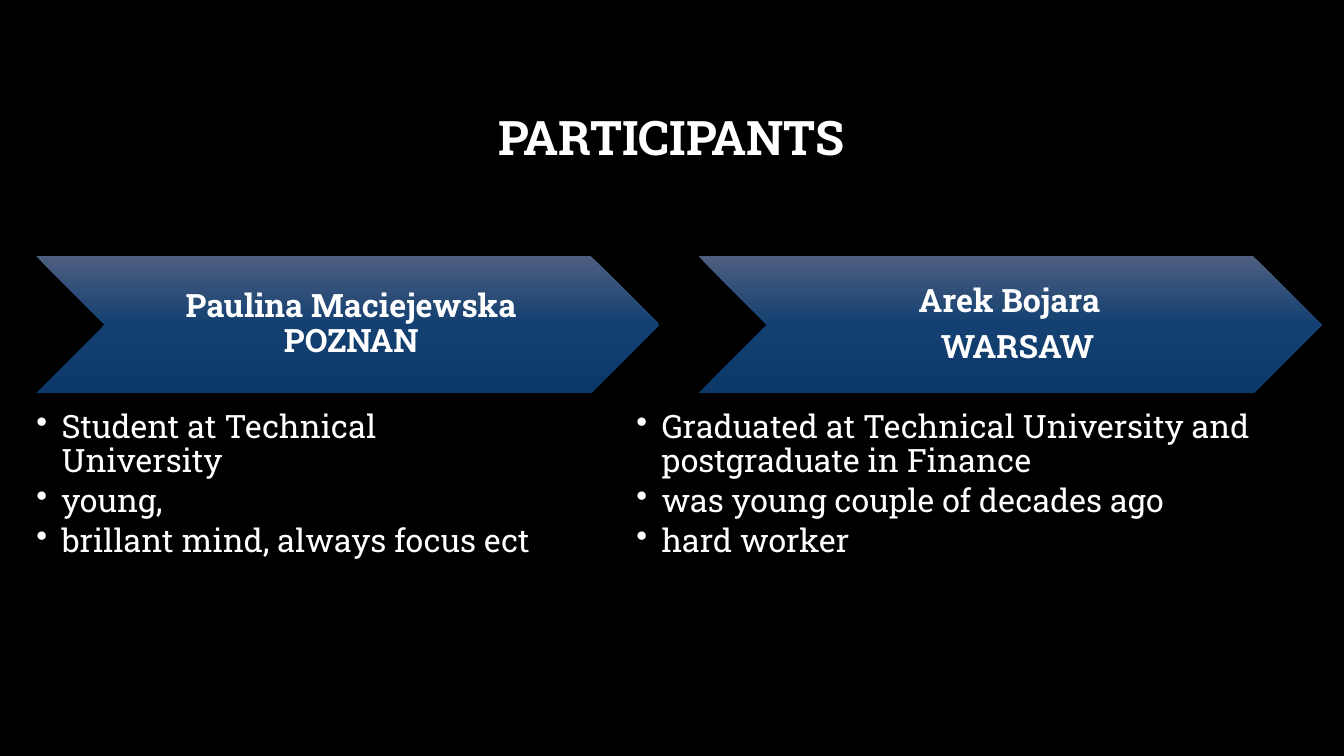
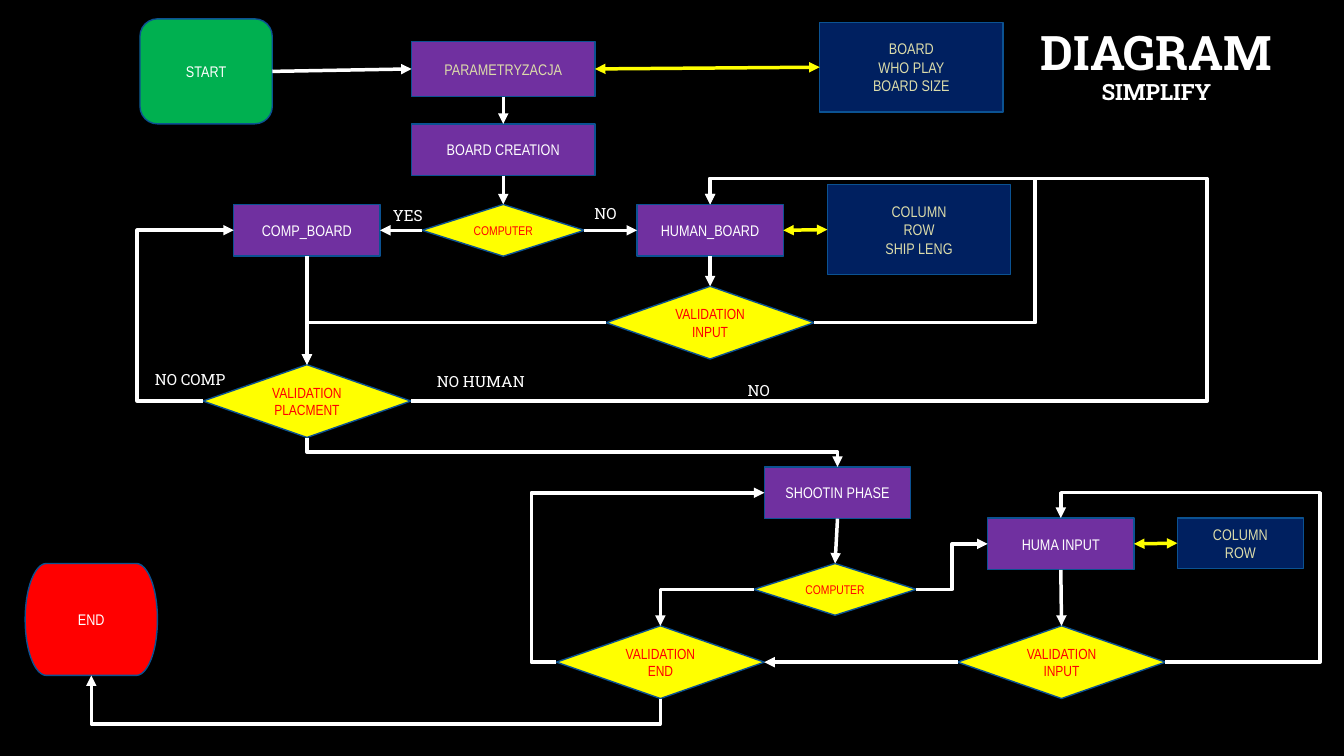
from copy import deepcopy
from dataclasses import dataclass

from pptx import Presentation
from pptx.dml.color import RGBColor
from pptx.enum.shapes import MSO_CONNECTOR, MSO_SHAPE
from pptx.enum.text import MSO_ANCHOR, PP_ALIGN
from pptx.oxml.ns import qn
from pptx.util import Pt


@dataclass(frozen=True)
class Theme:
    slab: str = "Roboto Slab"
    narrow: str = "Arial Narrow"
    background: str = "000000"
    white: str = "FFFFFF"
    yellow: str = "FFFF00"
    red: str = "FF0000"
    green: str = "00B050"
    purple: str = "7030A0"
    navy: str = "002060"
    sand: str = "DCDCAA"
    outline: str = "0B5292"
    chevron: tuple = ("4D5E80", "134071", "0D3969")
    title_size: float = 34
    subtitle_size: float = 16
    body_size: float = 23
    node_size: float = 11
    decision_size: float = 10.5
    small_size: float = 9
    outline_width: float = 1
    link_width: float = 2.5


@dataclass(frozen=True)
class NodeKind:
    preset: MSO_SHAPE
    fill: str
    ink: str
    size: float
    width: float
    height: float


THEME = Theme()
START = NodeKind(MSO_SHAPE.ROUNDED_RECTANGLE, THEME.green, THEME.white, THEME.node_size, 94.5, 75)
END = NodeKind(MSO_SHAPE.FLOWCHART_TERMINATOR, THEME.red, THEME.white, THEME.node_size, 94.5, 80)
SETUP = NodeKind(MSO_SHAPE.RECTANGLE, THEME.purple, THEME.sand, THEME.node_size, 131, 39.5)
WIDE_STEP = NodeKind(MSO_SHAPE.RECTANGLE, THEME.purple, THEME.white, THEME.node_size, 131, 37)
STEP = NodeKind(MSO_SHAPE.RECTANGLE, THEME.purple, THEME.white, THEME.node_size, 104.5, 37)
DATA = NodeKind(MSO_SHAPE.RECTANGLE, THEME.navy, THEME.sand, THEME.node_size, 131, 64)
SMALL_DATA = NodeKind(MSO_SHAPE.RECTANGLE, THEME.navy, THEME.sand, THEME.node_size, 90, 36)
CHECK = NodeKind(MSO_SHAPE.FLOWCHART_DECISION, THEME.yellow, THEME.red, THEME.decision_size, 148.5, 52)
CHOICE = NodeKind(MSO_SHAPE.FLOWCHART_DECISION, THEME.yellow, THEME.red, THEME.small_size, 116, 37)

# Connection sites, numbered as on rectangles and decisions
TOP, LEFT, BOTTOM, RIGHT = range(4)
STRAIGHT_LIMIT = Pt(3)


def site(shape, side):
    """Return the point at the middle of one side."""
    x, y = shape.left + shape.width // 2, shape.top + shape.height // 2
    return {TOP: (x, shape.top), LEFT: (shape.left, y),
            BOTTOM: (x, shape.top + shape.height), RIGHT: (shape.left + shape.width, y)}[side]


class Pages:
    def __init__(self, deck, theme):
        self.deck, self.theme, self.page = deck, theme, None

    def new_page(self):
        self.page = self.deck.slides.add_slide(self.deck.slide_layouts[6])
        fill = self.page.background.fill
        fill.solid()
        fill.fore_color.rgb = RGBColor.from_string(self.theme.background)

    def span(self, para, text, size, bold=False, font=None, color=None):
        span = para.add_run()
        span.text = text
        span.font.name = font or self.theme.slab
        span.font.size = Pt(size)
        span.font.bold = bold
        span.font.color.rgb = RGBColor.from_string(color or self.theme.white)

    def text_box(self, left, top, width, height, insets=(7.2, 3.6, 7.2, 3.6), anchor=MSO_ANCHOR.TOP):
        box = self.page.shapes.add_textbox(Pt(left), Pt(top), Pt(width), Pt(height))
        frame = box.text_frame
        frame.word_wrap = True
        frame.vertical_anchor = anchor
        (frame.margin_left, frame.margin_top,
         frame.margin_right, frame.margin_bottom) = map(Pt, insets)
        return frame

    def paragraphs(self, frame, texts, space_after, bold=False):
        """Fill the frame with body paragraphs and return them."""
        for index, text in enumerate(texts):
            para = frame.add_paragraph() if index else frame.paragraphs[0]
            para.line_spacing = 0.9
            para.space_after = Pt(space_after)
            self.span(para, text, self.theme.body_size, bold)
        return frame.paragraphs

    def title(self, left, top, width, height, text, subtitle=""):
        para = self.text_box(left, top, width, height, anchor=MSO_ANCHOR.MIDDLE).paragraphs[0]
        para.alignment = PP_ALIGN.CENTER
        para.line_spacing = 0.9
        self.span(para, text, self.theme.title_size, True)
        if subtitle:
            self.span(para, subtitle, self.theme.subtitle_size, True)

    def chevron(self, left, top, width, height, texts):
        shape = self.page.shapes.add_shape(MSO_SHAPE.CHEVRON, Pt(left), Pt(top), Pt(width), Pt(height))
        shape.shadow.inherit = False
        shape.line.fill.background()
        shape.fill.gradient()
        shape.fill.gradient_angle = 270
        stop_list = shape._element.spPr.find(".//" + qn("a:gsLst"))
        stop_list.insert(1, deepcopy(stop_list[0]))
        for index, (stop, color) in enumerate(zip(shape.fill.gradient_stops, self.theme.chevron)):
            stop.position = index / 2
            stop.color.rgb = RGBColor.from_string(color)
        notch = height / 2
        frame = self.text_box(left + notch, top, width - 2 * notch, height,
                              (7.2, 2, 2, 2), MSO_ANCHOR.MIDDLE)
        for para in self.paragraphs(frame, texts, 8, True):
            para.alignment = PP_ALIGN.CENTER

    def bullets(self, left, top, width, height, texts):
        frame = self.text_box(left, top, width, height, (0, 0, 0, 0))
        for para in self.paragraphs(frame, texts, 3.5):
            properties = para._p.get_or_add_pPr()
            properties.set("marL", str(Pt(18)))
            properties.set("indent", str(-Pt(18)))
            bullet = properties.makeelement(qn("a:buChar"), {"char": "•"})
            properties.append(bullet)

    def node(self, kind, left, top, *lines):
        shape = self.page.shapes.add_shape(kind.preset, Pt(left), Pt(top), Pt(kind.width), Pt(kind.height))
        shape.shadow.inherit = False
        shape.fill.solid()
        shape.fill.fore_color.rgb = RGBColor.from_string(kind.fill)
        shape.line.color.rgb = RGBColor.from_string(self.theme.outline)
        shape.line.width = Pt(self.theme.outline_width)
        frame = shape.text_frame
        frame.word_wrap = True
        frame.vertical_anchor = MSO_ANCHOR.MIDDLE
        para = frame.paragraphs[0]
        para.alignment = PP_ALIGN.CENTER
        for index, line in enumerate(lines):
            if index:
                para.add_line_break()
            self.span(para, line, kind.size, font=self.theme.narrow, color=kind.ink)
        return shape

    def label(self, left, top, width, text):
        self.span(self.text_box(left, top, width, 21).paragraphs[0], text, self.theme.node_size)

    def link(self, source, source_side, target, target_side, bends=(), color=None, both=False):
        """Join two nodes; bends are the coordinates, in points, where the line turns."""
        begin, end = site(source, source_side), site(target, target_side)
        axis = 0 if source_side in (LEFT, RIGHT) else 1
        parallel = source_side % 2 == target_side % 2
        straight = parallel and not bends and abs(begin[1 - axis] - end[1 - axis]) < STRAIGHT_LIMIT
        style = MSO_CONNECTOR.STRAIGHT if straight else MSO_CONNECTOR.ELBOW
        connector = self.page.shapes.add_connector(style, *begin, *end)
        connector.begin_connect(source, source_side)
        connector.end_connect(target, target_side)
        if not straight:
            self.bend(connector, begin, end, axis, parallel, bends)
        connector.line.color.rgb = RGBColor.from_string(color or self.theme.white)
        connector.line.width = Pt(self.theme.link_width)
        line = connector.line._get_or_add_ln()
        for tag in ("a:headEnd", "a:tailEnd") if both else ("a:tailEnd",):
            line.append(line.makeelement(qn(tag), {"type": "triangle"}))
        properties = connector._element.spPr
        properties.append(properties.makeelement(qn("a:effectLst"), {}))

    def bend(self, connector, begin, end, axis, parallel, bends):
        """Set the elbow preset, its frame and its turning points."""
        along, across = end[axis] - begin[axis], end[1 - axis] - begin[1 - axis]
        connector.width, connector.height = abs(along), abs(across)
        connector.left = (begin[0] + end[0] - abs(along)) // 2
        connector.top = (begin[1] + end[1] - abs(across)) // 2
        connector.rotation = 90 * axis
        # A quarter turn points the frame's downward direction to the left
        flip_across = across > 0 if axis else across < 0
        frame = connector._element.spPr.find(qn("a:xfrm"))
        frame.set("flipH", str(int(along < 0)))
        frame.set("flipV", str(int(flip_across)))
        geometry = connector._element.spPr.find(qn("a:prstGeom"))
        segments = 3 if parallel else 2 + len(bends)
        geometry.set("prst", f"bentConnector{segments}")
        guides = geometry.find(qn("a:avLst"))
        for index, place in enumerate(bends):
            direction = axis if index == 0 else 1 - axis
            ratio = (Pt(place) - begin[direction]) / (end[direction] - begin[direction])
            guides.append(guides.makeelement(qn("a:gd"), {
                "name": f"adj{index + 1}", "fmla": f"val {round(ratio * 100000)}"}))


def participants(pages):
    pages.new_page()
    pages.title(72, 48, 815, 104.5, "PARTICIPANTS")
    people = (
        (26, 26, 356.5, ("Paulina Maciejewska POZNAN",),
         ("Student at Technical University", "young,", "brillant mind, always focus ect")),
        (499, 454.5, 445, ("Arek Bojara ", " WARSAW"),
         ("Graduated at Technical University and postgraduate in Finance",
          "was young couple of decades ago", "hard worker")),
    )
    for chevron_left, list_left, list_width, name, facts in people:
        pages.chevron(chevron_left, 183, 445, 98, name)
        pages.bullets(list_left, 293, list_width, 156, facts)


def diagram(pages):
    pages.new_page()
    pages.title(704, 16, 244, 64, "DIAGRAM ", "SIMPLIFY")

    start = pages.node(START, 100, 13.5, "START")
    end = pages.node(END, 18, 402.5, "END")
    setup = pages.node(SETUP, 294, 29.5, "PARAMETRYZACJA")
    creation = pages.node(WIDE_STEP, 294, 88.5, "BOARD CREATION")
    board_choice = pages.node(CHOICE, 301.5, 146, "COMPUTER")
    comp_board = pages.node(STEP, 167, 146, "COMP_BOARD")
    human_board = pages.node(STEP, 455, 146, "HUMAN_BOARD")
    board_check = pages.node(CHECK, 433, 204.5, "VALIDATION INPUT")
    placement_check = pages.node(CHECK, 145, 260.5, "VALIDATION PLACMENT")
    board_data = pages.node(DATA, 585.5, 16, "BOARD", "WHO PLAY", "BOARD SIZE")
    ship_data = pages.node(DATA, 591, 132, "COLUMN", "ROW", "SHIP LENG")
    shooting = pages.node(STEP, 546, 333.5, "SHOOTIN PHASE")
    shot_choice = pages.node(CHOICE, 538.5, 402.5, "COMPUTER")
    human_input = pages.node(STEP, 705.5, 370, "HUMA INPUT")
    shot_data = pages.node(SMALL_DATA, 841, 370, "COLUMN", "ROW")
    end_check = pages.node(CHECK, 397.5, 447, "VALIDATION", "END")
    shot_check = pages.node(CHECK, 684, 447, "VALIDATION INPUT")

    for link in (
        (start, RIGHT, setup, LEFT),
        (setup, BOTTOM, creation, TOP),
        (creation, BOTTOM, board_choice, TOP),
        (board_choice, LEFT, comp_board, RIGHT),
        (board_choice, RIGHT, human_board, LEFT),
        (human_board, BOTTOM, board_check, TOP),
        (board_check, RIGHT, human_board, TOP, (739.5, 127.5)),
        (board_check, LEFT, placement_check, TOP),
        (comp_board, BOTTOM, placement_check, TOP),
        (placement_check, LEFT, comp_board, LEFT, (98,)),
        (placement_check, RIGHT, human_board, TOP, (862, 127.5)),
        (placement_check, BOTTOM, shooting, TOP),
        (shooting, BOTTOM, shot_choice, TOP),
        (shot_choice, LEFT, end_check, TOP),
        (shot_choice, RIGHT, human_input, LEFT),
        (human_input, BOTTOM, shot_check, TOP),
        (shot_check, RIGHT, human_input, TOP, (943, 352)),
        (shot_check, LEFT, end_check, RIGHT),
        (end_check, LEFT, shooting, LEFT, (379.5,)),
        (end_check, BOTTOM, end, BOTTOM, (517,)),
    ):
        pages.link(*link)
    for step, data in ((setup, board_data), (human_board, ship_data), (human_input, shot_data)):
        pages.link(step, RIGHT, data, LEFT, color=THEME.yellow, both=True)

    for left, top, width, text in (
        (273.5, 143.5, 37.5, "YES"),
        (417.5, 142.5, 37.5, "NO"),
        (527, 268.5, 37.5, "NO"),
        (305, 262, 90.5, "NO HUMAN"),
        (103.5, 261, 90.5, "NO COMP"),
    ):
        pages.label(left, top, width, text)


def main():
    deck = Presentation()
    deck.slide_width, deck.slide_height = Pt(960), Pt(540)
    pages = Pages(deck, THEME)
    participants(pages)
    diagram(pages)
    deck.save("out.pptx")


if __name__ == "__main__":
    main()
